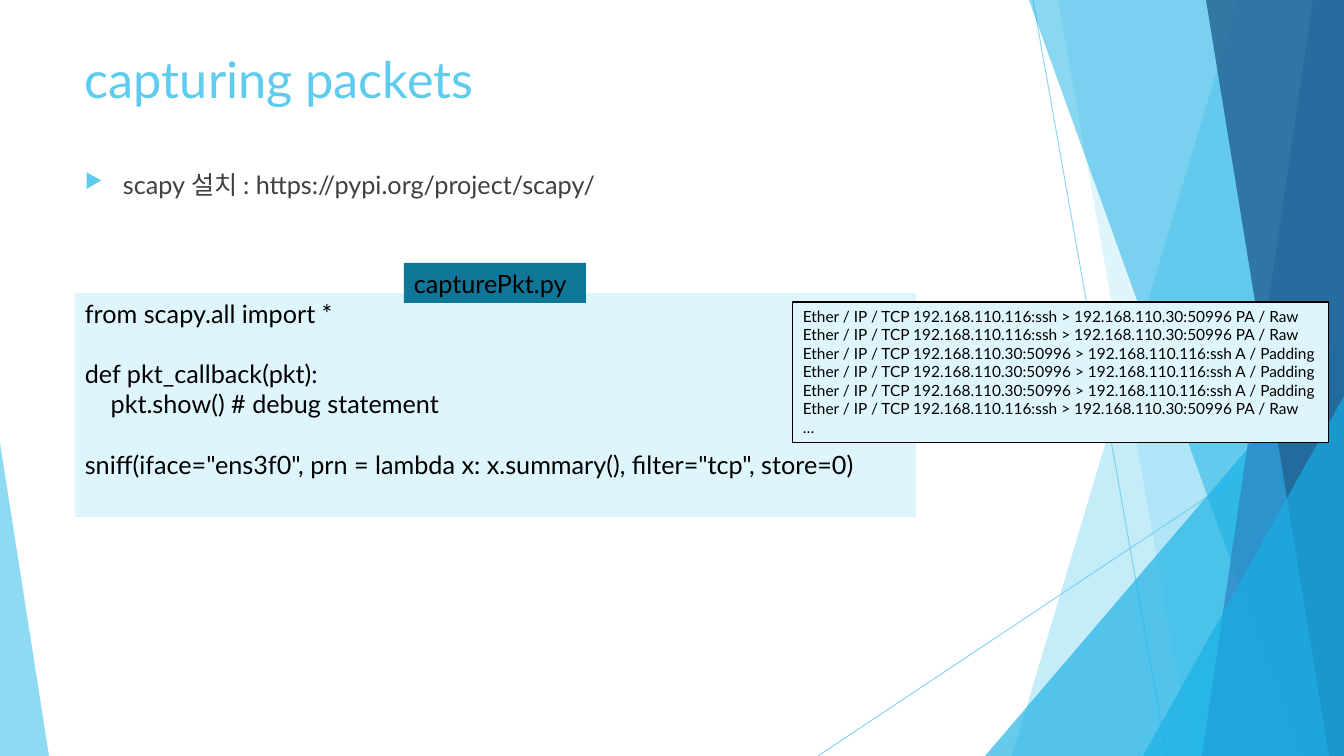
from lxml import etree
from pptx import Presentation
from pptx.dml.color import RGBColor
from pptx.enum.shapes import MSO_CONNECTOR, MSO_SHAPE
from pptx.enum.text import MSO_ANCHOR, PP_ALIGN
from pptx.oxml.ns import qn
from pptx.util import Pt

STRAIGHT = MSO_CONNECTOR.STRAIGHT
RECTANGLE = MSO_SHAPE.RECTANGLE
TRIANGLE = MSO_SHAPE.ISOSCELES_TRIANGLE
TOP = MSO_ANCHOR.TOP
LEFT = PP_ALIGN.LEFT

WIDTH, HEIGHT = 1344, 756
EMU_PER_PX = 914400 / 100.8

THEME = {
    "font": "Lato",
    "sky": "5FCBEF", "azure": "17B0E4", "blue": "2E83C3", "navy": "226292",
    "pale": "DFF5FC", "teal": "0F7698", "black": "000000", "grey": "404040",
    "title_size": 36, "text_size": 18, "output_size": 11,
    "line_width": 0.75, "code_gap": 21.6,
}

TITLE = "capturing packets"
BULLET = "scapy 설치 : https://pypi.org/project/scapy/"
FILE_NAME = "capturePkt.py"
CODE_BLOCKS = [
    ["from scapy.all import *"],
    ["def pkt_callback(pkt):", "    pkt.show() # debug statement"],
    ['sniff(iface="ens3f0", prn = lambda x: x.summary(), filter="tcp", store=0)'],
]
SENT = "Ether / IP / TCP 192.168.110.116:ssh > 192.168.110.30:50996 PA / Raw"
RECEIVED = "Ether / IP / TCP 192.168.110.30:50996 > 192.168.110.116:ssh A / Padding"
OUTPUT = [SENT] * 2 + [RECEIVED] * 3 + [SENT, "…"]

# Lines: start x, start y, end x, end y
RAYS = [(1033, 0, 1167, HEIGHT), (WIDTH, 406, 818, HEIGHT)]
# Bands reach the right edge: top x, bottom x. Triangles reach the bottom: left, top, width, apex.
FACETS = [
    ("band", (1238, 1012), "sky", 36),
    ("band", (1058, 1192), "sky", 20),
    ("triangle", (985, 336, 359, 1), "azure", 66),
    ("band", (1029, 1301), "azure", 50),
    ("band", (1313, 1202), "blue", 70),
    ("band", (1206, 1329), "navy", 80),
    ("triangle", (1143, 396, 201, 1), "azure", 66),
    ("triangle", (0, 443, 49, 0), "sky", 70),
]


def px(*lengths):
    return [round(length * EMU_PER_PX) for length in lengths]


def color(name):
    return RGBColor.from_string(THEME[name])


def set_opacity(shape, percent):
    for element in shape._element.spPr.iter(qn("a:srgbClr")):
        etree.SubElement(element, qn("a:alpha"), val=str(percent * 1000))


def paint(shape, fill, line=None):
    shape.shadow.inherit = False
    shape.fill.solid()
    shape.fill.fore_color.rgb = color(fill)
    if line:
        shape.line.color.rgb = color(line)
        shape.line.width = Pt(THEME["line_width"])
    else:
        shape.line.fill.background()


def add_ray(slide, ends):
    ray = slide.shapes.add_connector(STRAIGHT, *px(*ends))
    ray.line.color.rgb = color("sky")
    ray.line.width = Pt(THEME["line_width"])
    set_opacity(ray, 70)
    etree.SubElement(ray._element.spPr, qn("a:effectLst"))


def add_facet(slide, kind, geometry, fill, opacity):
    if kind == "band":
        top_x, bottom_x = geometry
        builder = slide.shapes.build_freeform(top_x, 0, scale=EMU_PER_PX)
        builder.add_line_segments([(WIDTH, 0), (WIDTH, HEIGHT), (bottom_x, HEIGHT)])
        shape = builder.convert_to_shape()
    else:
        left, top, width, apex = geometry
        shape = slide.shapes.add_shape(TRIANGLE, *px(left, top, width, HEIGHT - top))
        shape.adjustments[0] = apex
    paint(shape, fill)
    set_opacity(shape, opacity)


def write(shape, lines, size, text_color="black", gaps=()):
    """Fill a shape with lines; the line numbers in gaps get a blank line's space before."""
    frame = shape.text_frame
    layout = {"word_wrap": True, "vertical_anchor": TOP, "margin_right": 0}
    for name, value in layout.items():
        setattr(frame, name, value)
    style = {"name": THEME["font"], "size": Pt(THEME[size])}
    for number, line in enumerate(lines):
        paragraph = frame.add_paragraph() if number else frame.paragraphs[0]
        paragraph.alignment = LEFT
        if number in gaps:
            paragraph.space_before = Pt(THEME["code_gap"])
        run = paragraph.add_run()
        run.text = line
        for name, value in style.items():
            setattr(run.font, name, value)
        run.font.color.rgb = color(text_color)


def add_bullet(paragraph):
    indent = px(38)[0]
    properties = paragraph._p.get_or_add_pPr()
    properties.set("marL", str(indent))
    properties.set("indent", str(-indent))
    bullet_color = etree.SubElement(properties, qn("a:buClr"))
    etree.SubElement(bullet_color, qn("a:srgbClr"), val=THEME["sky"])
    etree.SubElement(properties, qn("a:buSzPct"), val="80000")
    etree.SubElement(properties, qn("a:buChar"), char="▶")


def add_panel(slide, box, fill, line=None):
    panel = slide.shapes.add_shape(RECTANGLE, *px(*box))
    paint(panel, fill, line)
    return panel


def main():
    presentation = Presentation()
    presentation.slide_width, presentation.slide_height = px(WIDTH, HEIGHT)
    slide = presentation.slides.add_slide(presentation.slide_layouts[6])

    for ends in RAYS:
        add_ray(slide, ends)
    for facet in FACETS:
        add_facet(slide, *facet)

    title = slide.shapes.add_textbox(*px(75, 43, 948, 145))
    write(title, [TITLE], "title_size", "sky")
    body = slide.shapes.add_textbox(*px(75, 164, 948, 427))
    add_bullet(body.text_frame.paragraphs[0])
    write(body, [BULLET], "text_size", "grey")

    code_lines, gaps = [], []
    for block in CODE_BLOCKS:
        if code_lines:
            gaps.append(len(code_lines))
        code_lines += block
    code = add_panel(slide, (75, 293, 841, 224), "pale")
    write(code, code_lines, "text_size", gaps=gaps)
    file_label = add_panel(slide, (404, 263, 182, 40), "teal")
    write(file_label, [FILE_NAME], "text_size")
    output = add_panel(slide, (793, 302, 536, 141), "pale", "black")
    write(output, OUTPUT, "output_size")

    presentation.save("out.pptx")


if __name__ == "__main__":
    main()
